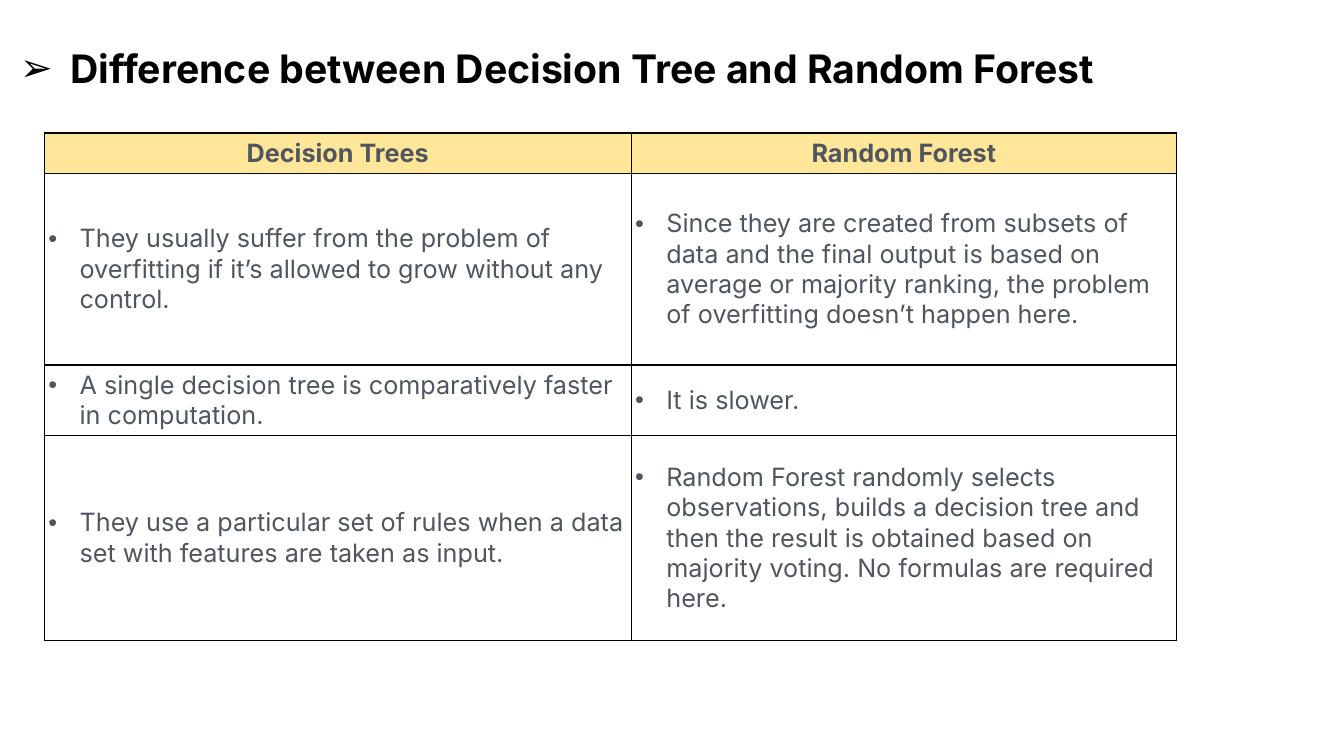
from pptx import Presentation
from pptx import util as u
from pptx.dml.color import RGBColor
from pptx.enum import text as t
from pptx.oxml.ns import qn
from lxml import etree

WIDE, HIGH = 13.33, 7.5
HUES = {"ink": "000000", "body": "51565E", "head": "FFE699", "cell": "FFFFFF"}
FONT = "Inter"
TITLE = "Difference between Decision Tree and Random Forest"
ROWS = [
    ("Decision Trees", "Random Forest"),
    ("They usually suffer from the problem of overfitting if it’s allowed "
     "to grow without any control.",
     "Since they are created from subsets of data and the final output is "
     "based on average or majority ranking, the problem of overfitting "
     "doesn’t happen here."),
    ("A single decision tree is comparatively faster in computation.",
     "It is slower."),
    ("They use a particular set of rules when a data set with features are "
     "taken as input.",
     "Random Forest randomly selects observations, builds a decision tree "
     "and then the result is obtained based on majority voting. No formulas "
     "are required here."),
]
COLS = (5.82, 5.41)
TALL = (0.35, 1.9, 0.48, 2.03)
PAD = {"margin_left": 0.04, "margin_right": 0.04,
       "margin_top": 0.05, "margin_bottom": 0.05}


def rgb(name):
    return RGBColor.from_string(HUES[name])


def write(para, words, size, hue, bold):
    run = para.add_run()
    run.text = words
    form = {"name": FONT, "size": u.Pt(size), "bold": bold}
    for key, val in form.items():
        setattr(run.font, key, val)
    run.font.color.rgb = rgb(hue)


def bullet(para, mark, dent):
    props = para._p.get_or_add_pPr()
    props.set("marL", str(u.Inches(dent)))
    props.set("indent", str(-u.Inches(dent)))
    etree.SubElement(props, qn("a:buFont"), typeface="Arial")
    etree.SubElement(props, qn("a:buChar"), char=mark)


def border(cell):
    props = cell._tc.get_or_add_tcPr()
    for side in ("L", "R", "T", "B"):
        line = etree.SubElement(props, qn("a:ln" + side), w=str(u.Pt(1)))
        fill = etree.SubElement(line, qn("a:solidFill"))
        etree.SubElement(fill, qn("a:srgbClr"), val=HUES["ink"])


# Heading with arrow bullet
def heading(slide, box):
    frame = slide.shapes.add_textbox(*map(u.Inches, box)).text_frame
    frame.word_wrap = True
    para = frame.paragraphs[0]
    bullet(para, "➢", 0.5)
    write(para, TITLE, 28, "ink", True)


# One cell: centred header or bulleted point
def fill_cell(cell, words, top):
    border(cell)
    cell.fill.solid()
    cell.fill.fore_color.rgb = rgb("head" if top else "cell")
    cell.vertical_anchor = t.MSO_ANCHOR.MIDDLE
    for key, val in PAD.items():
        setattr(cell, key, u.Inches(val))
    para = cell.text_frame.paragraphs[0]
    if top:
        para.alignment = t.PP_ALIGN.CENTER
    else:
        bullet(para, "•", 0.31)
    write(para, words, 18, "body", top)


# Comparison table, with columns and rows shared out over its box
def compare(slide, box):
    left, top, width, height = box
    grid = slide.shapes.add_table(
        len(ROWS), len(COLS), *map(u.Inches, box)).table
    for col, part in zip(grid.columns, COLS):
        col.width = u.Inches(width * part / sum(COLS))
    for row, part in zip(grid.rows, TALL):
        row.height = u.Inches(height * part / sum(TALL))
    for r, pair in enumerate(ROWS):
        for c, words in enumerate(pair):
            fill_cell(grid.cell(r, c), words, r == 0)


def main():
    deck = Presentation()
    deck.slide_width, deck.slide_height = u.Inches(WIDE), u.Inches(HIGH)
    slide = deck.slides.add_slide(deck.slide_layouts[6])
    heading(slide, (0.1, 0.39, 0.82 * WIDE, 0.57))
    compare(slide, (0.44, 1.32, sum(COLS), sum(TALL)))
    deck.save("out.pptx")


if __name__ == "__main__":
    main()
